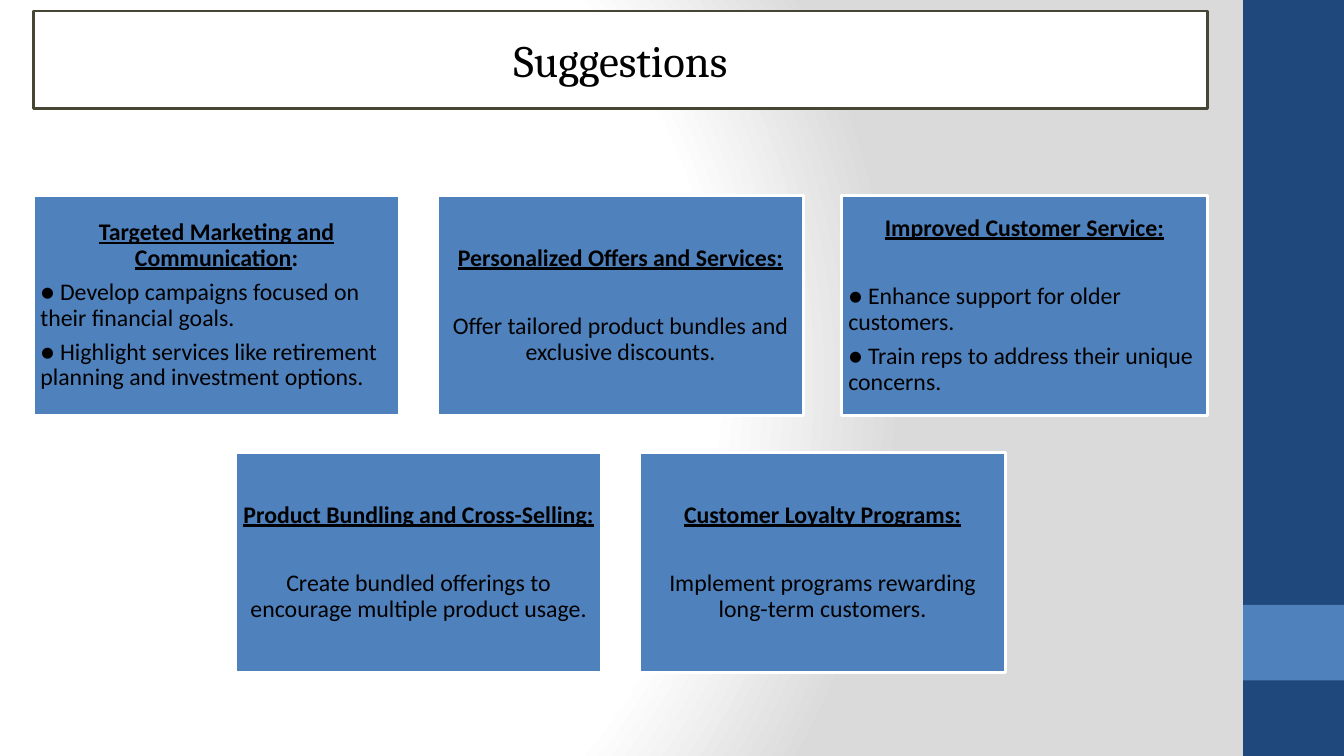
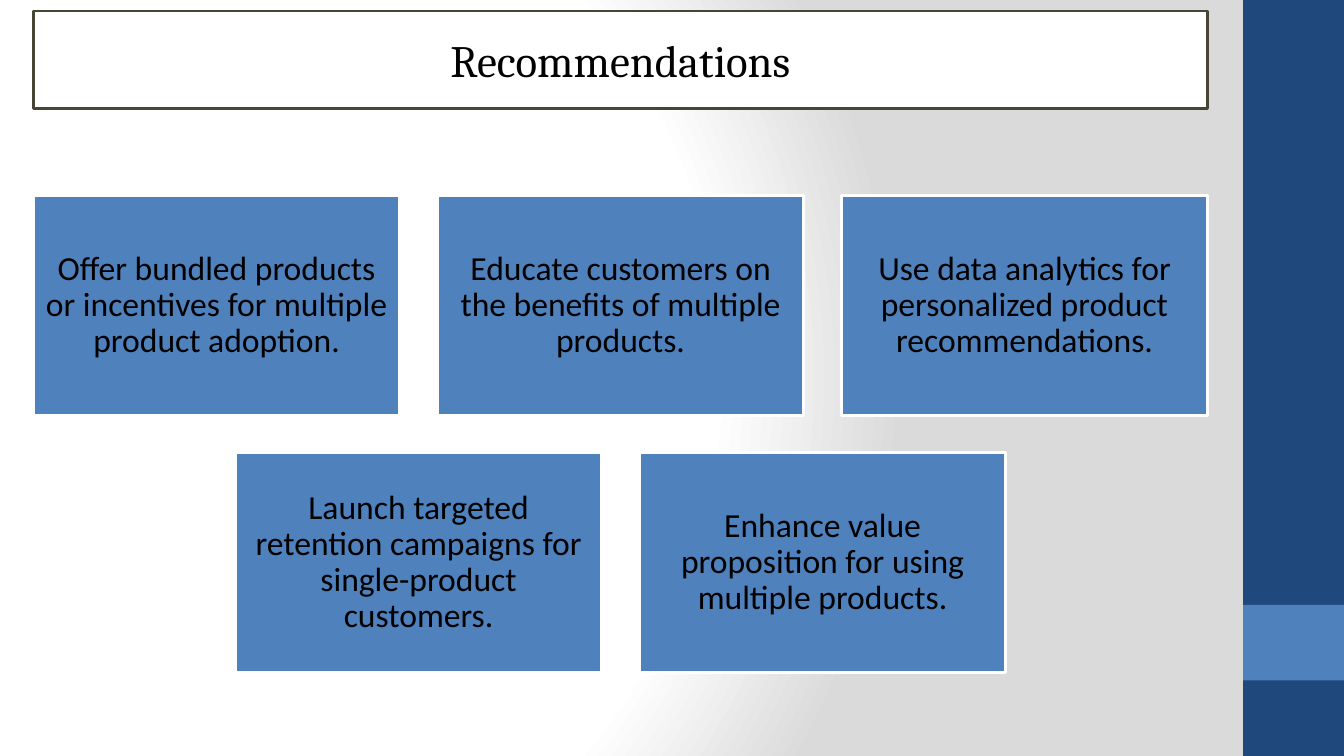
from lxml import etree
from pptx import Presentation
from pptx.dml.color import RGBColor
from pptx.enum.shapes import MSO_SHAPE as SHAPE
from pptx.enum.text import MSO_ANCHOR as ANCHOR, MSO_AUTO_SIZE as AUTO, PP_ALIGN as ALIGN
from pptx.oxml import parse_xml
from pptx.oxml.ns import nsdecls, qn
from pptx.util import Inches, Pt

NAVY = RGBColor(0x1F, 0x49, 0x7D)
BLUE = RGBColor(0x4F, 0x81, 0xBD)
OLIVE = RGBColor(0x47, 0x45, 0x34)
GREY = RGBColor(0xDA, 0xDA, 0xDA)
WHITE = RGBColor(0xFF, 0xFF, 0xFF)
BLACK = RGBColor(0, 0, 0)

SLIDE_W, SLIDE_H = 13.33, 7.5
BAND_W = 1
LEFT, CONTENT_W = 0.33, 11.65
TITLE_BOX = (LEFT, 0.11, CONTENT_W, 0.97)
CARD_BOX = (LEFT, 1.94, CONTENT_W, 4.73)
COLUMNS, ROWS, GAP = 3, 2, 0.37

HEADING_GAP = 30.5
BODY_GAP = 6

# Each card: heading, end of the heading without underline, gap below it, alignment, body.
SUGGESTIONS = [
    ("Targeted Marketing and Communication", ":", BODY_GAP, ALIGN.LEFT,
     ["● Develop campaigns focused on their financial goals.",
      "● Highlight services like retirement planning and investment options."]),
    ("Personalized Offers and Services:", "", HEADING_GAP, ALIGN.CENTER,
     ["Offer tailored product bundles and exclusive discounts."]),
    ("Improved Customer Service:", "", HEADING_GAP, ALIGN.LEFT,
     ["● Enhance support for older customers.",
      "● Train reps to address their unique concerns."]),
    ("Product Bundling and Cross-Selling:", "", HEADING_GAP, ALIGN.CENTER,
     ["Create bundled offerings to encourage multiple product usage."]),
    ("Customer Loyalty Programs:", "", HEADING_GAP, ALIGN.CENTER,
     ["Implement programs rewarding long-term customers."]),
]

RECOMMENDATIONS = [
    "Offer bundled products or incentives for multiple product adoption.",
    "Educate customers on the benefits of multiple products.",
    "Use data analytics for personalized product recommendations.",
    "Launch targeted retention campaigns for single-product customers.",
    "Enhance value proposition for using multiple products.",
]


def add_run(p, text, size, font="Calibri", color=BLACK, bold=False, underline=False):
    r = p.add_run()
    r.text = text
    r.font.name, r.font.size = font, Pt(size)
    r.font.color.rgb = color
    r.font.bold, r.font.underline = bold, underline


def add_paragraph(tf, text, align=ALIGN.CENTER, line=0.9, after=0, **font):
    """Fill the frame's first paragraph while it is empty, else add one."""
    p = tf.paragraphs[0]
    if p.runs:
        p = tf.add_paragraph()
    p.alignment, p.line_spacing, p.space_after = align, line, Pt(after)
    add_run(p, text, **font)
    return p


def set_frame(tf, margin_x, margin_y):
    tf.word_wrap, tf.auto_size = True, AUTO.NONE
    tf.vertical_anchor = ANCHOR.MIDDLE
    tf.margin_left = tf.margin_right = Inches(margin_x)
    tf.margin_top = tf.margin_bottom = Inches(margin_y)


def set_paint(sp, fill, line=None):
    sp.fill.solid()
    sp.fill.fore_color.rgb = fill
    if line is None:
        sp.line.fill.background()
    else:
        sp.line.color.rgb, sp.line.width = line, Pt(2)


def add_box(s, box, fill, line=None):
    sp = s.shapes.add_shape(SHAPE.RECTANGLE, *map(Inches, box))
    sp.shadow.inherit = False
    set_paint(sp, fill, line)
    return sp


def set_background(master):
    """Give the master a radial gradient from white to grey."""
    master.background.fill.solid()
    solid = next(master.element.iter(qn("p:bgPr"))).find(qn("a:solidFill"))
    gradient = parse_xml(
        f'<a:gradFill {nsdecls("a")} rotWithShape="1"><a:gsLst/>'
        '<a:path path="circle">'
        '<a:fillToRect l="20000" t="50000" r="100000" b="50000"/>'
        '</a:path></a:gradFill>')
    for percent, color in ((0, WHITE), (75, WHITE), (100, GREY)):
        stop = etree.SubElement(gradient[0], qn("a:gs"), pos=str(percent * 1000))
        etree.SubElement(stop, qn("a:srgbClr"), val=str(color))
    solid.getparent().replace(solid, gradient)


def add_side_band(master, s):
    """Draw the band on a slide and move it to the master behind its placeholders."""
    x = SLIDE_W - BAND_W
    bands = [add_box(s, (x, 0, BAND_W, SLIDE_H), NAVY),
             add_box(s, (x, 0.8 * SLIDE_H, BAND_W, 0.1 * SLIDE_H), BLUE)]
    tree = master.element.cSld.spTree
    for i, sp in enumerate(bands):
        sp.element.nvSpPr.cNvPr.set("id", str(100 + i))
        tree.insert(2 + i, sp.element)


def add_title(s, text, box):
    title = s.shapes.title
    title.left, title.top, title.width, title.height = map(Inches, box)
    set_paint(title, WHITE, OLIVE)
    set_frame(title.text_frame, 0.1, 0.05)
    add_paragraph(title.text_frame, text, line=1, size=32, font="Cambria")


def card_boxes(count, box):
    """Yield equal cells row by row, each row centred in the box."""
    x, y, w, h = box
    card_w = (w - (COLUMNS - 1) * GAP) / COLUMNS
    card_h = (h - (ROWS - 1) * GAP) / ROWS
    for i in range(count):
        row, col = divmod(i, COLUMNS)
        in_row = min(COLUMNS, count - row * COLUMNS)
        indent = (COLUMNS - in_row) * (card_w + GAP) / 2
        yield (x + indent + col * (card_w + GAP), y + row * (card_h + GAP),
               card_w, card_h)


def add_cards(s, cards, box, margin, write):
    for card, cell in zip(cards, card_boxes(len(cards), box)):
        tf = add_box(s, cell, BLUE, WHITE).text_frame
        set_frame(tf, margin, margin)
        write(tf, card)


def write_suggestion(tf, card):
    heading, ending, gap, align, body = card
    p = add_paragraph(tf, heading, after=gap, size=17, bold=True, underline=True)
    if ending:
        add_run(p, ending, size=17, bold=True)
    for text in body:
        add_paragraph(tf, text, align=align, after=BODY_GAP, size=17)


def write_recommendation(tf, text):
    add_paragraph(tf, text, after=8.4, size=24)


def main():
    prs = Presentation()
    prs.slide_width, prs.slide_height = Inches(SLIDE_W), Inches(SLIDE_H)
    master = prs.slide_master
    set_background(master)
    title_only = prs.slide_layouts.get_by_name("Title Only")

    slides = [
        ("Suggestions", SUGGESTIONS, 0.07, write_suggestion),
        ("Recommendations", RECOMMENDATIONS, 0.1, write_recommendation),
    ]
    for i, (title, cards, margin, write) in enumerate(slides):
        s = prs.slides.add_slide(title_only)
        if i == 0:
            add_side_band(master, s)
        add_title(s, title, TITLE_BOX)
        add_cards(s, cards, CARD_BOX, margin, write)

    prs.save("out.pptx")


if __name__ == "__main__":
    main()
